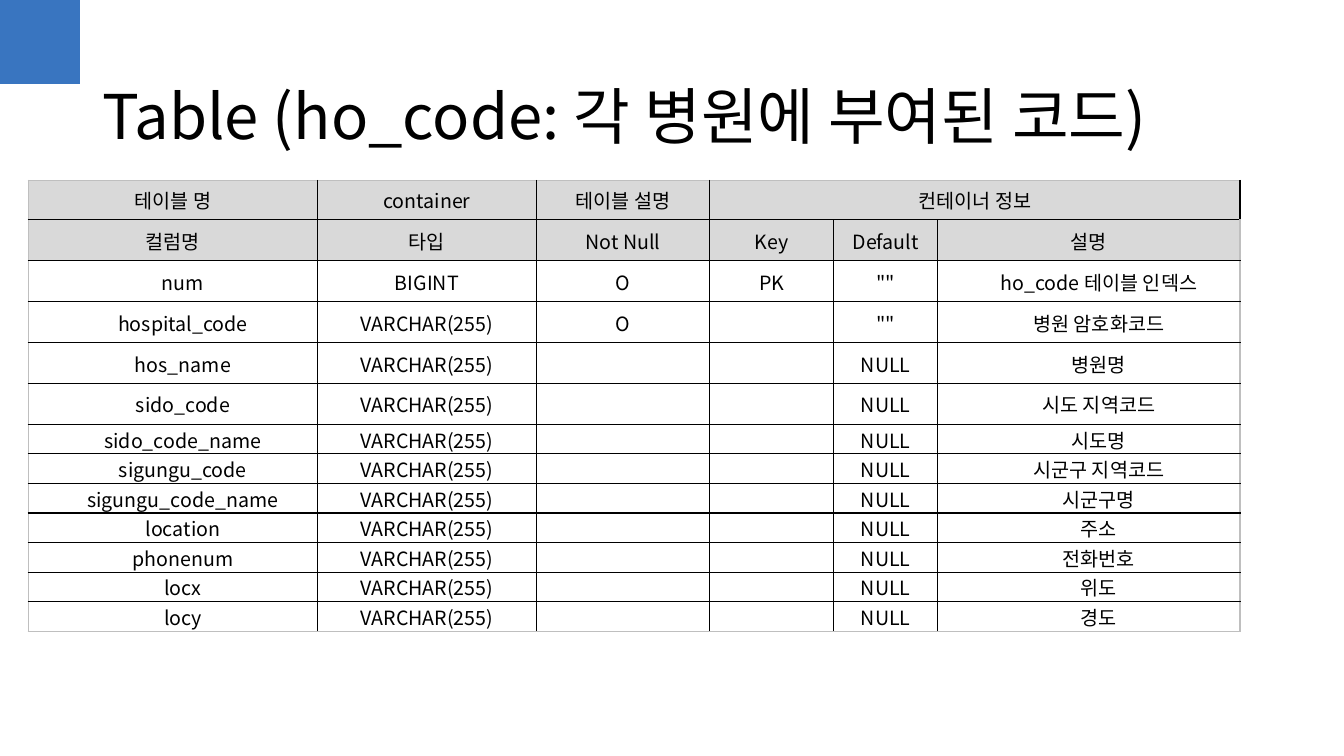
from dataclasses import dataclass

from lxml import etree
from pptx import Presentation
from pptx import util as u
from pptx.dml.color import RGBColor
from pptx.enum import shapes, text
from pptx.oxml import ns

WIDTH, HEIGHT = u.Inches(13.33), u.Inches(7.5)
FONT = "Noto Sans CJK KR"
BLACK = RGBColor(0x00, 0x00, 0x00)
BLUE = RGBColor(0x39, 0x75, 0xC0)
HEADER_GREY = RGBColor(0xD9, 0xD9, 0xD9)
EDGE_GREY = RGBColor(0xBF, 0xBF, 0xBF)
HEADER_ROWS = 2
INDENTED_COLUMNS = (0, 5)
COLUMN_SHARES = (21.53, 16.28, 12.9, 9.23, 7.73, 22.5)
ROW_SHARES = (5.22,) + (5.41,) * 5 + (3.91,) * 7


@dataclass
class Field:
    name: str
    description: str
    kind: str = "VARCHAR(255)"
    required: str = ""
    key: str = ""
    default: str = "NULL"

    def values(self) -> tuple[str, ...]:
        return (self.name, self.kind, self.required, self.key,
                self.default, self.description)


HEADERS = [
    ("테이블 명", "container", "테이블 설명", "컨테이너 정보", "", ""),
    ("컬럼명", "타입", "Not Null", "Key", "Default", "설명"),
]
FIELDS = [
    Field("num", "ho_code 테이블 인덱스", "BIGINT", "O", "PK", '""'),
    Field("hospital_code", "병원 암호화코드", required="O", default='""'),
    Field("hos_name", "병원명"),
    Field("sido_code", "시도 지역코드"),
    Field("sido_code_name", "시도명"),
    Field("sigungu_code", "시군구 지역코드"),
    Field("sigungu_code_name", "시군구명"),
    Field("location", "주소"),
    Field("phonenum", "전화번호"),
    Field("locx", "위도"),
    Field("locy", "경도"),
]


def across(share: float) -> int:
    return round(WIDTH * share / 100)


def down(share: float) -> int:
    return round(HEIGHT * share / 100)


def write(frame, words: str, *, size: float, align, spacing: float = 1.0,
          indent: float = 0) -> None:
    paragraph = frame.paragraphs[0]
    paragraph.alignment = align
    paragraph.line_spacing = spacing
    if indent:
        properties = paragraph._p.get_or_add_pPr()
        properties.set("marL", str(across(indent)))
        properties.set("indent", "0")
    if not words:
        ending = etree.SubElement(paragraph._p, ns.qn("a:endParaRPr"))
        ending.set("sz", str(round(size * 100)))
        return
    span = paragraph.add_run()
    span.text = words
    span.font.size = u.Pt(size)
    span.font.name = FONT
    span.font.color.rgb = BLACK
    asian = etree.SubElement(span._r.get_or_add_rPr(), ns.qn("a:ea"))
    asian.set("typeface", FONT)


def add_borders(cell, row: int, column: int) -> None:
    outer = {
        "lnL": column == 0,
        "lnR": column == len(COLUMN_SHARES) - 1,
        "lnT": row == 0,
        "lnB": row == len(ROW_SHARES) - 1,
    }
    properties = cell._tc.get_or_add_tcPr()
    for side, is_outer in outer.items():
        line = etree.SubElement(properties, ns.qn(f"a:{side}"), w=str(u.Pt(1)))
        fill = etree.SubElement(line, ns.qn("a:solidFill"))
        colour = EDGE_GREY if is_outer else BLACK
        etree.SubElement(fill, ns.qn("a:srgbClr"), val=str(colour))


def format_cell(cell, words: str, row: int, column: int) -> None:
    is_header = row < HEADER_ROWS
    add_borders(cell, row, column)
    if is_header:
        cell.fill.solid()
        cell.fill.fore_color.rgb = HEADER_GREY
    else:
        cell.fill.background()
    cell.vertical_anchor = text.MSO_ANCHOR.MIDDLE
    if row > 0:
        cell.margin_left = cell.margin_right = across(0.08)
        cell.margin_top, cell.margin_bottom = down(0.13), 0
    indent = 1.5 if not is_header and column in INDENTED_COLUMNS else 0
    write(cell.text_frame, words, size=14, align=text.PP_ALIGN.CENTER,
          indent=indent)


def add_corner(page) -> None:
    corner = page.shapes.add_shape(shapes.MSO_SHAPE.RECTANGLE, 0, 0,
                                   across(5.95), down(11.1))
    corner.shadow.inherit = False
    corner.fill.solid()
    corner.fill.fore_color.rgb = BLUE
    corner.line.fill.background()


def add_title(page, words: str) -> None:
    title = page.shapes.title
    title.left, title.top = across(6.9), down(4.67)
    title.width, title.height = across(86.27), down(19.33)
    frame = title.text_frame
    frame.word_wrap = True
    frame.auto_size = text.MSO_AUTO_SIZE.NONE
    frame.vertical_anchor = text.MSO_ANCHOR.MIDDLE
    write(frame, words, size=44, align=text.PP_ALIGN.LEFT, spacing=1.18)


def add_schema(page) -> None:
    rows = HEADERS + [field.values() for field in FIELDS]
    table = page.shapes.add_table(
        len(rows), len(COLUMN_SHARES), across(2.1), down(23.87),
        across(sum(COLUMN_SHARES)), down(sum(ROW_SHARES))).table
    table.first_row = table.horz_banding = False
    for column, share in zip(table.columns, COLUMN_SHARES):
        column.width = across(share)
    for row, share in zip(table.rows, ROW_SHARES):
        row.height = down(share)
    for row, values in enumerate(rows):
        for column, words in enumerate(values):
            format_cell(table.cell(row, column), words, row, column)
    table.cell(0, 3).merge(table.cell(0, 5))


def main() -> None:
    deck = Presentation()
    deck.slide_width, deck.slide_height = WIDTH, HEIGHT
    page = deck.slides.add_slide(deck.slide_layouts.get_by_name("Title Only"))
    add_corner(page)
    add_title(page, "Table (ho_code: 각 병원에 부여된 코드)")
    add_schema(page)
    deck.save("out.pptx")


if __name__ == "__main__":
    main()
